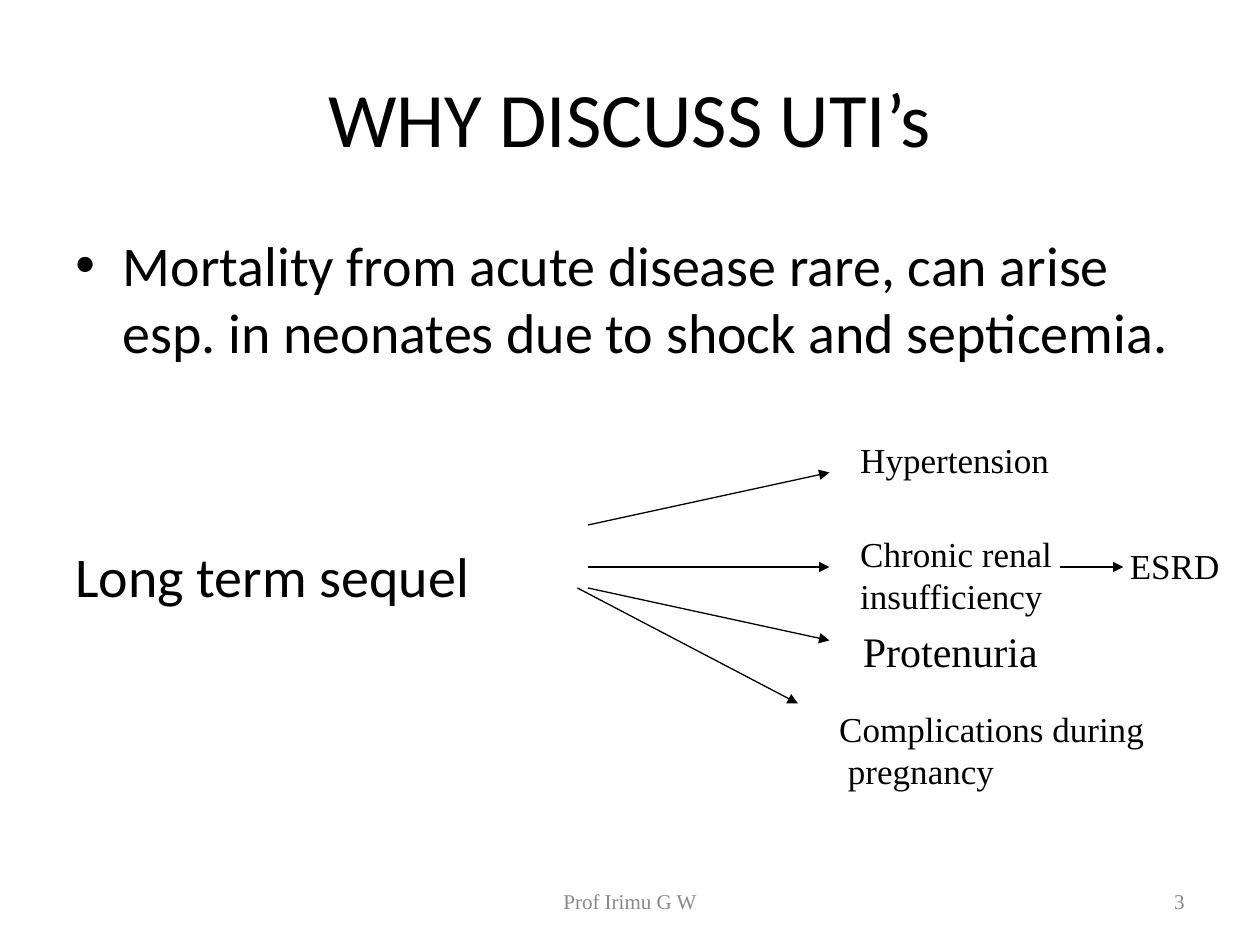
from typing import NamedTuple

from lxml.etree import SubElement
from pptx import Presentation
from pptx.dml.color import RGBColor
from pptx.enum.shapes import MSO_CONNECTOR as Link
from pptx.enum.text import MSO_ANCHOR as Anchor, PP_ALIGN as Align
from pptx.oxml.ns import qn
from pptx.util import Pt

BLACK, GREY = "000000", "898989"
SANS, SERIF = "Calibri", "Times New Roman"


class Box(NamedTuple):
    x: float
    y: float
    w: float
    h: float


class Label(NamedTuple):
    text: str
    box: Box
    size: int = 20


class Arrow(NamedTuple):
    x1: float
    y1: float
    x2: float
    y2: float


def tint(code: str) -> RGBColor:
    return RGBColor.from_string(code)


def place(shape, box: Box) -> None:
    shape.left, shape.top, shape.width, shape.height = map(Pt, box)


def write(para, text: str, *, size=20, font=SERIF, color=BLACK,
          align=Align.LEFT, before=0, left=0, hang=0, bullet="") -> None:
    props = para._p.get_or_add_pPr()
    props.set("marL", str(Pt(left)))
    props.set("indent", str(Pt(-hang)))
    if bullet:
        SubElement(props, qn("a:buFont"), typeface="Arial")
        SubElement(props, qn("a:buChar"), char=bullet)
    para.alignment = align
    para.space_before = Pt(before)
    run = para.add_run()
    run.text = text
    run.font.size = Pt(size)
    run.font.name = font
    run.font.color.rgb = tint(color)


def add_box(slide, box: Box, anchor=Anchor.TOP):
    frame = slide.shapes.add_textbox(*map(Pt, box)).text_frame
    frame.word_wrap = True
    frame.vertical_anchor = anchor
    return frame


def add_label(slide, label: Label) -> None:
    frame = add_box(slide, label.box)
    write(frame.paragraphs[0], label.text, size=label.size)


def add_arrow(slide, arrow: Arrow) -> None:
    line = slide.shapes.add_connector(Link.STRAIGHT, *map(Pt, arrow))
    line.line.color.rgb = tint(BLACK)
    line.line.width = Pt(0.75)
    SubElement(line.line._get_or_add_ln(), qn("a:tailEnd"), type="triangle")
    SubElement(line._element.spPr, qn("a:effectLst"))


LABELS = [
    Label("Hypertension", Box(484.5, 247, 130, 32)),
    Label("ESRD", Box(638.5, 307.5, 76, 32)),
    Label("Protenuria", Box(486, 354, 180, 36), 24),
]
PAIRS = [
    (("Chronic renal", "insufficiency"), Box(484.5, 301, 130, 55), 0),
    (("Complications during", "pregnancy"), Box(472.5, 401, 200, 55), 5),
]
ARROWS = [
    Arrow(336, 300, 474, 270),
    Arrow(336, 324, 474, 324),
    Arrow(336, 336, 474, 366),
    Arrow(330, 336, 456, 402),
    Arrow(606, 324, 642, 324),
]
FOOT = [
    ("Prof Irimu G W", Box(246, 500.5, 228, 29), Align.CENTER),
    ("3", Box(516, 500.5, 168, 29), Align.RIGHT),
]


def main() -> None:
    deck = Presentation()
    deck.slide_width, deck.slide_height = Pt(720), Pt(540)
    slide = deck.slides.add_slide(deck.slide_layouts[5])

    title = slide.shapes.title
    place(title, Box(36, 21.5, 648, 90))
    title.text_frame.vertical_anchor = Anchor.MIDDLE
    write(title.text_frame.paragraphs[0], "WHY DISCUSS UTI’s",
          size=44, font=SANS, align=Align.CENTER)

    body = add_box(slide, Box(36, 128, 648, 354))
    write(body.paragraphs[0],
          "Mortality from acute disease rare, can arise esp. in neonates "
          "due to shock and septicemia.",
          size=32, font=SANS, left=27, hang=27, bullet="•")
    write(body.add_paragraph(), "Long term sequel",
          size=32, font=SANS, before=101, left=27, hang=27)

    for label in LABELS:
        add_label(slide, label)
    for (first, second), box, inset in PAIRS:
        frame = add_box(slide, box)
        write(frame.paragraphs[0], first)
        write(frame.add_paragraph(), second, left=inset)
    for arrow in ARROWS:
        add_arrow(slide, arrow)
    for text, box, align in FOOT:
        frame = add_box(slide, box, Anchor.MIDDLE)
        write(frame.paragraphs[0], text, size=12, color=GREY, align=align)

    deck.save("out.pptx")


if __name__ == "__main__":
    main()
